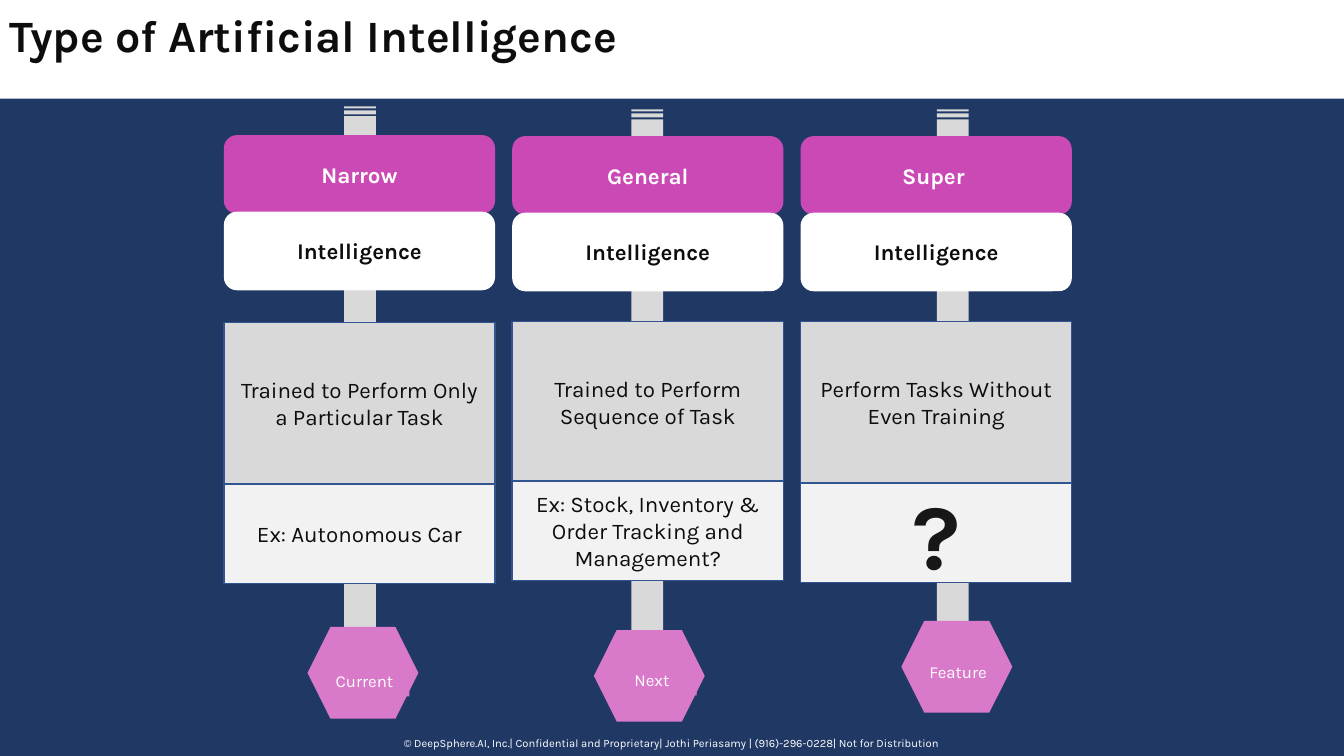
from pptx import Presentation
from pptx.dml.color import RGBColor
from pptx.enum.shapes import MSO_SHAPE
from pptx.enum.text import MSO_ANCHOR, MSO_AUTO_SIZE, PP_ALIGN
from pptx.util import Pt

RECT, ROUND = MSO_SHAPE.RECTANGLE, MSO_SHAPE.ROUNDED_RECTANGLE
ARROW, HEXAGON = MSO_SHAPE.STRIPED_RIGHT_ARROW, MSO_SHAPE.HEXAGON
LEFT, CENTER = PP_ALIGN.LEFT, PP_ALIGN.CENTER
TOP, MIDDLE = MSO_ANCHOR.TOP, MSO_ANCHOR.MIDDLE
GROW = MSO_AUTO_SIZE.SHAPE_TO_FIT_TEXT
PX = 9144

THEME = {
    "font": "Karla",
    "navy": "203864", "white": "FFFFFF", "ink": "0D0D0D", "mark": "181717",
    "magenta": "CB49B5", "pink": "D979C9", "edge": "325491",
    "grey": "D9D9D9", "pale": "F2F2F2",
    "title": 32, "body": 16, "label": 12, "footer": 8, "huge": 66,
}


def color(name):
    return RGBColor.from_string(THEME[name])


def add_box(box, text="", kind=RECT, fill=None, line=None, size="body", ink="ink",
            bold=False, align=CENTER, anchor=MIDDLE, grow=False, turn=0):
    place = [v * PX for v in box]
    if fill:
        s = slide.shapes.add_shape(kind, *place)
        s.shadow.inherit = False
        s.fill.solid()
        s.fill.fore_color.rgb = color(fill)
        s.rotation = turn
        if line:
            s.line.color.rgb = color(line)
            s.line.width = Pt(1)
        else:
            s.line.fill.background()
    else:
        s = slide.shapes.add_textbox(*place)
    if text:
        tf = s.text_frame
        tf.word_wrap = True
        tf.vertical_anchor = anchor
        if grow:
            tf.auto_size = GROW
        p = tf.paragraphs[0]
        p.alignment = align
        r = p.add_run()
        r.text = text
        r.font.name = THEME["font"]
        r.font.size = Pt(THEME[size])
        r.font.bold = bold
        r.font.color.rgb = color(ink)


prs = Presentation()
prs.slide_width, prs.slide_height = 1333 * PX, 750 * PX
slide = prs.slides.add_slide(prs.slide_layouts[6])
slide.background.fill.solid()
slide.background.fill.fore_color.rgb = color("navy")

add_box((0, 0, 1333, 98), fill="white")
add_box((0, 3, 1332, 64), "Type of Artificial Intelligence", size="title", bold=True,
        align=LEFT, anchor=TOP, grow=True)
add_box((0, 726, 1333, 24),
        "© DeepSphere.AI, Inc.| Confidential and Proprietary| Jothi Periasamy | "
        "(916)-296-0228| Not for Distribution",
        size="footer", ink="white", anchor=TOP, grow=True)

BODY = {}
QUESTION = {"size": "huge", "ink": "mark", "bold": True}
FILLED = {"fill": "pink"}
PLAIN = {"align": LEFT}
columns = [
    ("Narrow", "Trained to Perform Only a Particular Task", "Ex: Autonomous Car", BODY,
     (74, 357), 134, 320, 480, (305, 622), "Current", (317, 661), FILLED),
    ("General", "Trained to Perform Sequence of Task",
     "Ex: Stock, Inventory & Order Tracking and Management?", BODY,
     (359, 360), 135, 319, 477, (589, 625), "Next", (602, 660), FILLED),
    ("Super ", "Perform Tasks Without Even Training", "?", QUESTION,
     (662, 360), 135, 319, 479, (894, 616), "Feature", (912, 652), PLAIN),
]
LEFT_EDGE, STEP, WIDTH = 222, 286, 269

for i, (name, skill, example, example_style, arrow_at, head_y, skill_y, example_y,
        hexagon_at, stage, stage_at, stage_style) in enumerate(columns):
    x = LEFT_EDGE + i * STEP
    add_box((*arrow_at, 566, 63), kind=ARROW, fill="grey", turn=90)
    add_box((x, head_y, WIDTH, 78), name, ROUND, "magenta", ink="white", bold=True)
    add_box((x, head_y + 76, WIDTH, 78), "Intelligence", ROUND, "white", bold=True)
    add_box((x, skill_y, WIDTH, 160), skill, fill="grey", line="edge")
    add_box((x, example_y, WIDTH, 99), example, fill="pale", line="edge", **example_style)
    add_box((*hexagon_at, 110, 91), kind=HEXAGON, fill="pink")
    add_box((*stage_at, 89, 30), stage, size="label", ink="white", anchor=TOP, grow=True,
            **stage_style)

prs.save("out.pptx")
